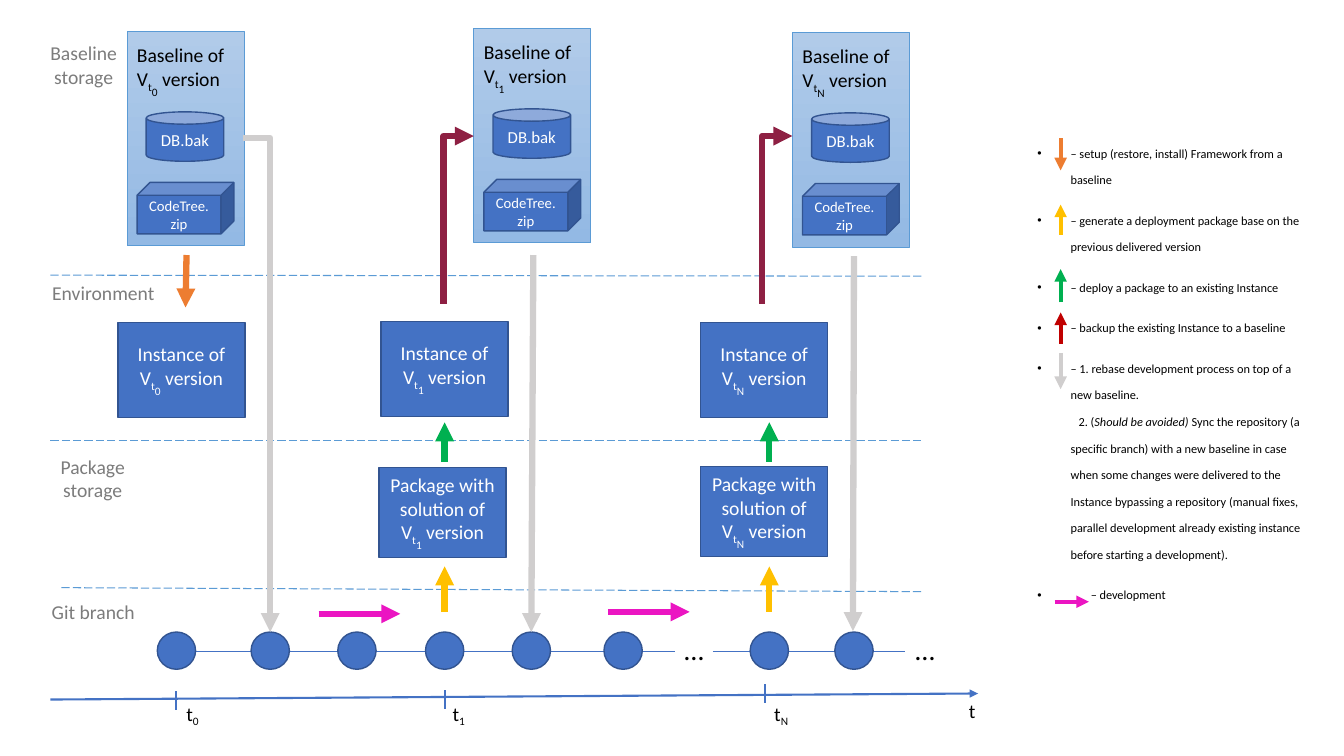
from lxml import etree
from pptx import Presentation
from pptx.dml.color import RGBColor
from pptx.enum import dml, shapes, text
from pptx.oxml import ns
from pptx.util import Inches, Pt

BLUE, EDGE, SKY, GREY = "4472C4", "325491", "5B9BD5", "D0CECE"
ORANGE, YELLOW, GREEN, MAGENTA = "ED7D31", "FFC000", "00B050", "EB15C2"
BLACK, WHITE, LABEL, MAROON, RED = "000000", "FFFFFF", "7C7C7C", "8E2043", "C00000"
SHAPE = shapes.MSO_SHAPE
CENTER = text.PP_ALIGN.CENTER


def color(value):
    """Turn a hex string into a colour."""
    return RGBColor.from_string(value)


def add_runs(paragraph, pieces, size, ink):
    """Fill a paragraph with (text, baseline percent) pieces."""
    for words, baseline in pieces:
        run = paragraph.add_run()
        run.text = words
        run.font.name = "Calibri"
        run.font.size = Pt(size)
        run.font.color.rgb = color(ink)
        if baseline:
            run._r.get_or_add_rPr().set("baseline", str(baseline * 1000))


def versioned(lead, index):
    """Return the pieces of a phrase naming one version."""
    return [(lead + " V", 0), ("t", -25), (index, -50), (" version", 0)]


def add_label(parent, box, lines, size=14, ink=BLACK, align=None):
    """Add a wrapping text box with one paragraph per line."""
    frame = parent.add_textbox(*map(Inches, box)).text_frame
    frame.word_wrap = True
    for number, pieces in enumerate(lines):
        paragraph = frame.add_paragraph() if number else frame.paragraphs[0]
        paragraph.alignment = align
        add_runs(paragraph, pieces, size, ink)


def add_block(parent, kind, box, pieces=(), size=14, edge=EDGE, weight=1):
    """Add a blue preset shape with centred white text."""
    block = parent.add_shape(kind, *map(Inches, box))
    block.shadow.inherit = False
    block.fill.solid()
    block.fill.fore_color.rgb = color(BLUE)
    block.line.color.rgb = color(edge)
    block.line.width = Pt(weight)
    if pieces:
        block.text_frame.word_wrap = True
        paragraph = block.text_frame.paragraphs[0]
        paragraph.alignment = CENTER
        add_runs(paragraph, pieces, size, WHITE)
    return block


def add_line(parent, start, end, ink, weight, arrow=None, bent=False):
    """Add a straight or once-bent line, with an arrowhead if named."""
    kind = shapes.MSO_CONNECTOR.ELBOW if bent else shapes.MSO_CONNECTOR.STRAIGHT
    line = parent.add_connector(kind, *map(Inches, start + end))
    line.line.color.rgb = color(ink)
    line.line.width = Pt(weight)
    properties = line._element.spPr
    if bent:
        properties.find(ns.qn("a:prstGeom")).set("prst", "bentConnector2")
    if arrow:
        head = etree.SubElement(line.line._get_or_add_ln(), ns.qn("a:" + arrow))
        head.set("type", "triangle")
    etree.SubElement(properties, ns.qn("a:effectLst"))
    return line


def draw_time_axis(parent, left, top, width):
    """Draw the time arrow with its ticks and labels."""
    add_line(parent, (left, top), (left + width, top - 0.06), BLUE, 1.5, "tailEnd")
    for x, rise, shift, index in ((1.25, 0.08, 0, "0"), (3.91, 0.09, -0.02, "1"), (7.09, 0.15, -0.01, "N")):
        x += left
        add_line(parent, (x, top - rise), (x, top - rise + 0.18), BLUE, 1.5)
        add_label(parent, (x + shift, top - 0.03, 0.38, 0.34), [[("t", 0), (index, -25)]])
    add_label(parent, (left + width - 0.19, top - 0.06, 0.38, 0.34), [[("t", 0)]])


def draw_lanes(parent, left, right):
    """Draw the lane separators and lane names."""
    for indent, start, end in ((0, 2.73, 2.74), (0, 4.37, 4.37), (0.11, 5.83, 5.87)):
        lane = add_line(parent, (left + indent, start), (right, end), SKY, 0.75)
        lane.line.dash_style = dml.MSO_LINE.LONG_DASH
    for box, name in (
        ((0.38, 0.36, 0.9, 0.57), "Baseline storage"),
        ((0.4, 2.74, 1.25, 0.34), "Environment"),
        ((0.47, 4.46, 0.9, 0.57), "Package storage"),
        ((0.4, 5.9, 1.05, 0.34), "Git branch"),
    ):
        lines = [name] if name == "Git branch" else name.split()
        add_label(parent, box, [[(line, 0)] for line in lines], ink=LABEL, align=CENTER)


def draw_branch(parent, top, size):
    """Draw the chain of commits, with ellipses where it is cut."""
    nodes = [1.56, 2.49, 3.35, 4.22, 5.08, 5.99, 6.69, 7.44, 8.28, 8.98]
    for left, following in zip(nodes, nodes[1:]):
        add_line(parent, (left + size, top + 0.19), (following, top + 0.19), BLUE, 0.5)
    for left in nodes:
        if left in (6.69, 8.98):
            add_label(parent, (left, top - 0.04, size, 0.44), [[("…", 0)]], 20)
        else:
            add_block(parent, SHAPE.FLOWCHART_CONNECTOR, (left, top, size, 0.37))


def draw_baseline(parent, left, top, index):
    """Draw one baseline panel with its database and code archive."""
    group = parent.add_group_shape().shapes
    panel = add_block(group, SHAPE.RECTANGLE, (left, top, 1.16, 2.13), edge=SKY, weight=0.5)
    panel.fill.gradient()
    panel.fill.gradient_angle = 270
    for stop, ink in zip(panel.fill.gradient_stops, ("B1CBE9", "93B9E4")):
        stop.color.rgb = color(ink)
    add_block(group, SHAPE.CAN, (left + 0.19, top + 0.8, 0.77, 0.49), [("DB.bak", 0)], 12)
    add_label(group, (left, top + 0.07, 1.16, 0.81), [versioned("Baseline of", index)])
    add_block(group, SHAPE.CUBE, (left + 0.1, top + 1.5, 0.96, 0.51), [("CodeTree.zip", 0)], 10.5)


def draw_instance(parent, left, top, index):
    """Draw one environment instance."""
    add_block(parent, SHAPE.RECTANGLE, (left, top, 1.26, 0.94), versioned("Instance of", index))


def draw_delivery(parent, left, top, index, center, panel_left):
    """Draw a package, its arrows and the backup to a baseline."""
    add_block(parent, SHAPE.RECTANGLE, (left, top, 1.26, 0.89), versioned("Package with solution of", index))
    for start, end, ink in ((4.58, 4.19, GREEN), (6.07, 5.62, YELLOW)):
        add_line(parent, (center, start), (center, end), ink, 4.5, "tailEnd")
    add_line(parent, (panel_left, 1.35), (panel_left - 0.3, 3.02), MAROON, 4.5, "headEnd", bent=True)


def draw_flows(parent):
    """Draw the setup, rebase and development arrows."""
    for start, end, ink in (
        ((1.85, 2.53), (1.84, 3.05), ORANGE),
        ((5.29, 2.53), (5.27, 6.27), GREY),
        ((8.47, 2.54), (8.46, 6.26), GREY),
        ((3.16, 6.09), (3.97, 6.09), MAGENTA),
        ((6.03, 6.07), (6.84, 6.07), MAGENTA),
    ):
        add_line(parent, start, end, ink, 4.5, "tailEnd")
    add_line(parent, (2.41, 1.37), (2.68, 6.27), GREY, 4.5, "tailEnd", bent=True)


def draw_legend(parent, left, top, width, height):
    """Draw the bulleted legend and its sample arrows."""
    entries = [
        (0.33, ["– setup (restore, install) Framework from a baseline"]),
        (0.33, ["– generate a deployment package base on the previous delivered version"]),
        (0.33, ["– deploy a package to an existing Instance"]),
        (0.33, ["– backup the existing Instance to a baseline"]),
        (0.33, ["– 1. rebase development process on top of a new baseline."]),
        (0.33, ["2. (", "Should be avoided) ", "Sync the repository (a specific branch) with a new baseline "
                "in case when some changes were delivered to the Instance bypassing a repository (manual "
                "fixes, parallel development already existing instance before starting a development)."]),
        (0.53, ["– development"]),
    ]
    frame = parent.add_textbox(*map(Inches, (left, top, width, height))).text_frame
    frame.word_wrap = True
    for number, (margin, pieces) in enumerate(entries):
        paragraph = frame.add_paragraph() if number else frame.paragraphs[0]
        bulleted = len(pieces) == 1
        paragraph.line_spacing = 1.8
        paragraph.space_before = Pt(10 if bulleted else 0)
        add_runs(paragraph, [(piece, 0) for piece in pieces], 8.8, BLACK)
        properties = paragraph._p.get_or_add_pPr()
        properties.set("marL", str(Inches(margin)))
        properties.set("indent", str(Inches(-margin if bulleted else 0.08)))
        if bulleted:
            etree.SubElement(properties, ns.qn("a:buFont")).set("typeface", "Arial")
            etree.SubElement(properties, ns.qn("a:buChar")).set("char", "•")
        else:
            paragraph.runs[1].font.italic = True
    x = left + 0.33
    for start, end, ink in ((0.09, 0.41, ORANGE), (1.05, 0.75, YELLOW), (1.72, 1.39, GREEN),
                            (2.13, 1.82, RED), (2.22, 2.58, GREY)):
        add_line(parent, (x, top + start), (x, top + end), ink, 3, "tailEnd")
    add_line(parent, (left + 0.27, top + 4.69), (left + 0.61, top + 4.69), MAGENTA, 3, "tailEnd")


def main():
    """Build the slide and save it."""
    presentation = Presentation()
    presentation.slide_width, presentation.slide_height = Inches(13.33), Inches(7.5)
    parent = presentation.slides.add_slide(presentation.slide_layouts[6]).shapes
    draw_time_axis(parent, 0.5, 6.94, 9.2)
    draw_lanes(parent, 0.5, 9.15)
    draw_branch(parent, 6.27, 0.38)
    for left, top, index in ((1.26, 0.31, "0"), (4.7, 0.28, "1"), (7.86, 0.32, "N")):
        draw_baseline(parent, left, top, index)
    for left, top, index in ((1.17, 3.2, "0"), (3.78, 3.19, "1"), (6.95, 3.2, "N")):
        draw_instance(parent, left, top, index)
    draw_delivery(parent, 3.76, 4.64, "1", 4.41, 4.7)
    draw_delivery(parent, 6.95, 4.63, "N", 7.63, 7.86)
    draw_flows(parent)
    draw_legend(parent, 10.19, 1.28, 2.89, 5.31)
    presentation.save("out.pptx")


main()
